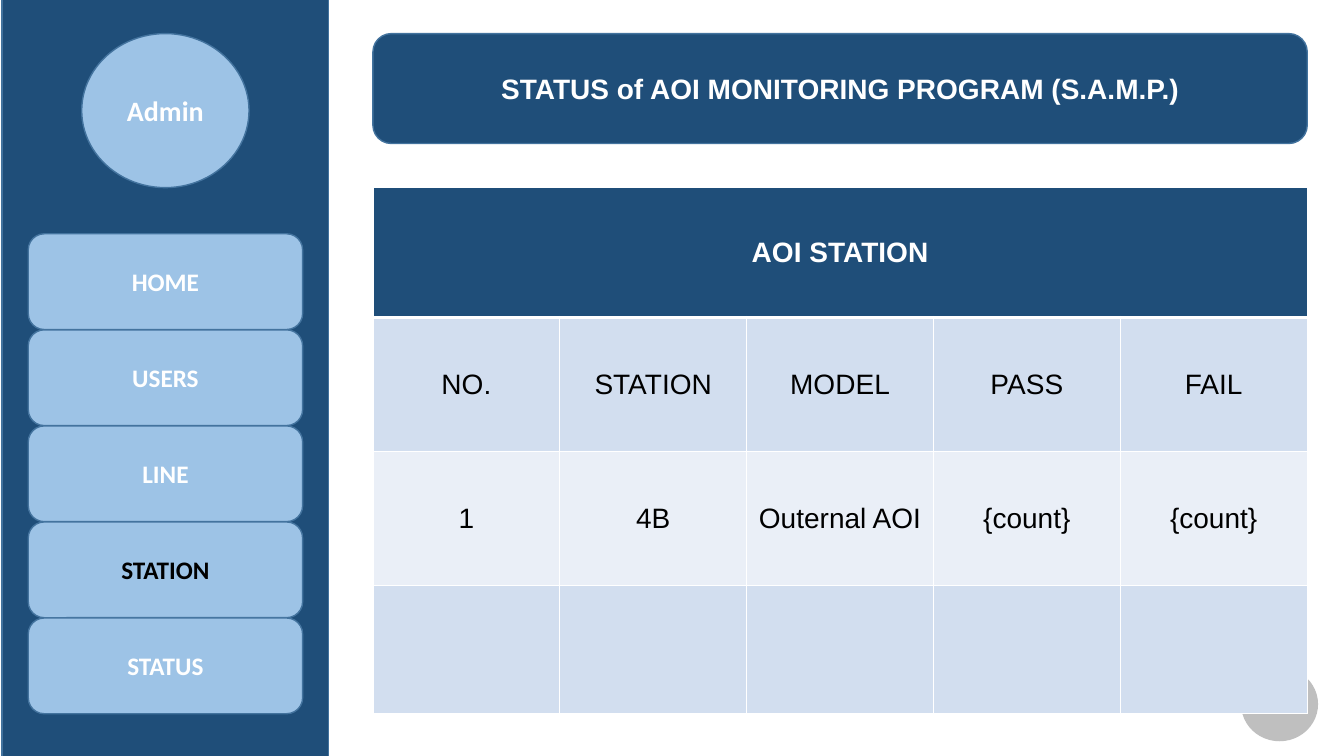
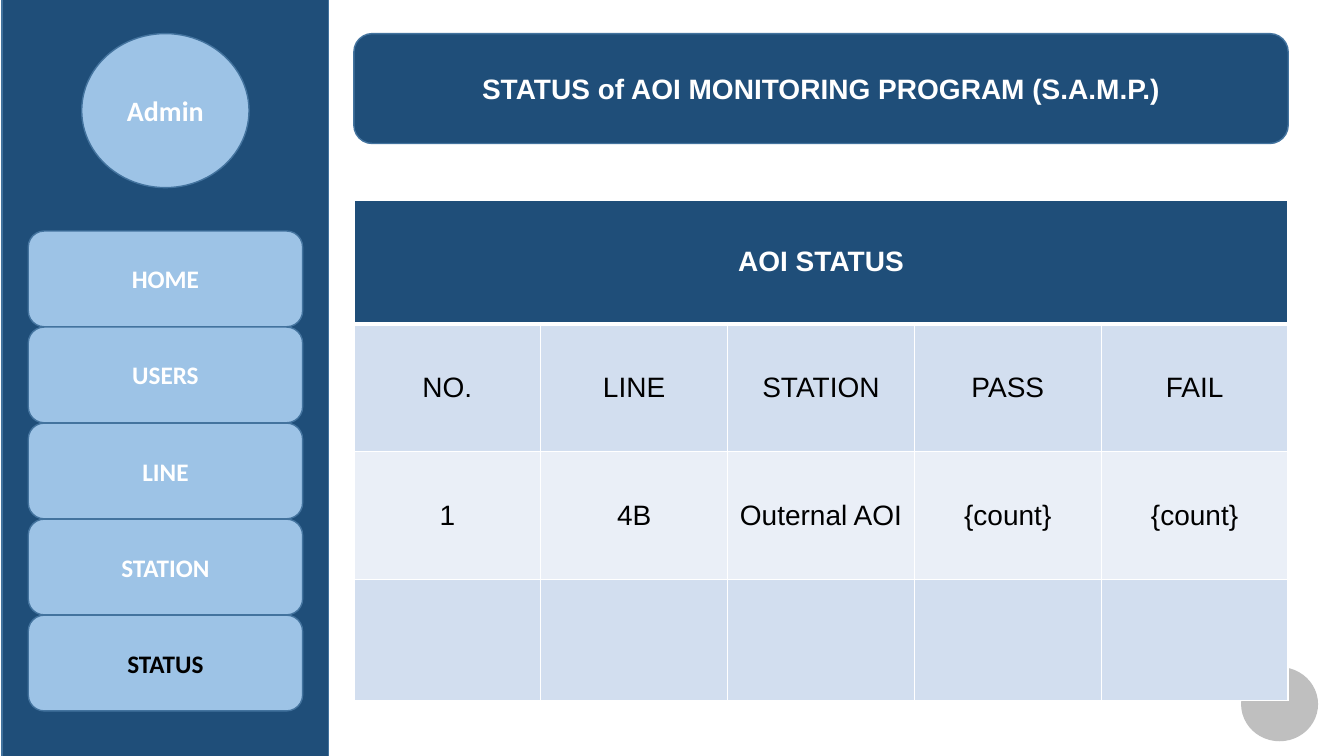
import pptx
import pptx.util
import pptx.dml.color
import pptx.enum.shapes
import pptx.enum.text
import pptx.oxml
import pptx.oxml.ns

Pt = pptx.util.Pt
SHAPE = pptx.enum.shapes.MSO_SHAPE
ALIGN = pptx.enum.text.PP_ALIGN
ANCHOR = pptx.enum.text.MSO_ANCHOR

COLORS = {
    "navy": "1F4E79", "sky": "9DC3E6", "edge": "43739E",
    "white": "FFFFFF", "black": "000000", "grey": "BFBFBF",
    "odd": "D2DEEF", "even": "EAEFF7",
}
TITLE = "STATUS of AOI MONITORING PROGRAM (S.A.M.P.)"
MENU = ["HOME", "USERS", "LINE", "STATION", "STATUS"]
VALUES = ["1", "4B", "Outernal AOI", "{count}", "{count}"]
PAGES = [
    {"active": "STATION", "left": 266.4, "menu": 167, "top": 134,
     "head": "AOI STATION", "rows": [92.9, 95.8, 95.8, 91.4],
     "names": ["NO.", "STATION", "MODEL", "PASS", "FAIL"]},
    {"active": "STATUS", "left": 252.8, "menu": 165, "top": 143.4,
     "head": "AOI STATUS", "rows": [87.8, 91.4, 91.4, 86.4],
     "names": ["NO.", "LINE", "STATION", "PASS", "FAIL"]},
]
WIDTH = 667.4
STEP = 68.6


def rgb(name):
    return pptx.dml.color.RGBColor.from_string(COLORS[name])


def write(frame, text, size, color, font="Arial", bold=True):
    frame.text = text
    par = frame.paragraphs[0]
    par.alignment = ALIGN.CENTER
    par.font.name = font
    par.font.size = Pt(size)
    par.font.bold = bold
    par.font.color.rgb = rgb(color)


def add_box(slide, kind, box, fill, text="", size=18, color="white", edge="edge"):
    shape = slide.shapes.add_shape(kind, *map(Pt, box))
    shape.shadow.inherit = False
    shape.fill.solid()
    shape.fill.fore_color.rgb = rgb(fill)
    shape.line.color.rgb = rgb(edge)
    shape.line.width = Pt(1)
    if text:
        write(shape.text_frame, text, size, color, "Calibri")
        shape.text_frame.vertical_anchor = ANCHOR.MIDDLE
    return shape


def share(slide):
    """Put the side bar and the corner disc on the layout."""
    parts = [
        add_box(slide, SHAPE.OVAL, (887, 477, 54, 52), "grey", edge="grey"),
        add_box(slide, SHAPE.RECTANGLE, (1.5, -1.5, 233, 542), "navy"),
        add_box(slide, SHAPE.OVAL, (58.4, 24, 119.5, 110), "sky", "Admin", 20),
    ]
    for part in parts:
        slide.slide_layout.shapes.element.append(part.element)


def set_title(slide, left):
    """Set the title over a rounded band."""
    box = (left, 24, WIDTH, 78.5)
    title = slide.shapes.title
    title.left, title.top, title.width, title.height = map(Pt, box)
    band = add_box(slide, SHAPE.ROUNDED_RECTANGLE, box, "navy")
    title.element.addprevious(band.element)
    frame = title.text_frame
    frame.auto_size = pptx.enum.text.MSO_AUTO_SIZE.NONE
    frame.vertical_anchor = ANCHOR.MIDDLE
    write(frame, TITLE, 20, "white")


def add_edges(cell, top, bottom):
    props = cell._tc.get_or_add_tcPr()
    for i, (side, width) in enumerate(zip("LRTB", (1, 1, top, bottom))):
        props.insert(i, pptx.oxml.parse_xml(
            f'<a:ln{side} {pptx.oxml.ns.nsdecls("a")} w="{Pt(width)}"><a:solidFill>'
            f'<a:srgbClr val="{COLORS["white"]}"/></a:solidFill></a:ln{side}>'))


def add_grid(slide, page):
    names, heights = page["names"], page["rows"]
    texts = [[page["head"]], names, VALUES, []]
    fills = ["navy", "odd", "even", "odd"]
    table = slide.shapes.add_table(
        len(heights), len(names), Pt(page["left"]), Pt(page["top"]),
        Pt(WIDTH), Pt(sum(heights))).table
    table.cell(0, 0).merge(table.cell(0, len(names) - 1))
    for col in table.columns:
        col.width = Pt(WIDTH / len(names))
    for r, height in enumerate(heights):
        table.rows[r].height = Pt(height)
        for c in range(len(names)):
            cell = table.cell(r, c)
            cell.fill.solid()
            cell.fill.fore_color.rgb = rgb(fills[r])
            cell.vertical_anchor = ANCHOR.MIDDLE
            add_edges(cell, 3 if r == 1 else 1, 3 if r == 0 else 1)
            if c < len(texts[r]):
                write(cell.text_frame, texts[r][c], 20,
                      "black" if r else "white", bold=r == 0)


def main():
    deck = pptx.Presentation()
    deck.slide_width, deck.slide_height = Pt(960), Pt(540)
    layout = deck.slide_layouts[5]
    for n, page in enumerate(PAGES):
        slide = deck.slides.add_slide(layout)
        if n == 0:
            share(slide)
        set_title(slide, page["left"])
        for i, name in enumerate(MENU):
            add_box(slide, SHAPE.ROUNDED_RECTANGLE,
                    (20.2, page["menu"] + i * STEP, 196, 68.4), "sky", name,
                    color="black" if name == page["active"] else "white")
        add_grid(slide, page)
    deck.save("out.pptx")


if __name__ == "__main__":
    main()
